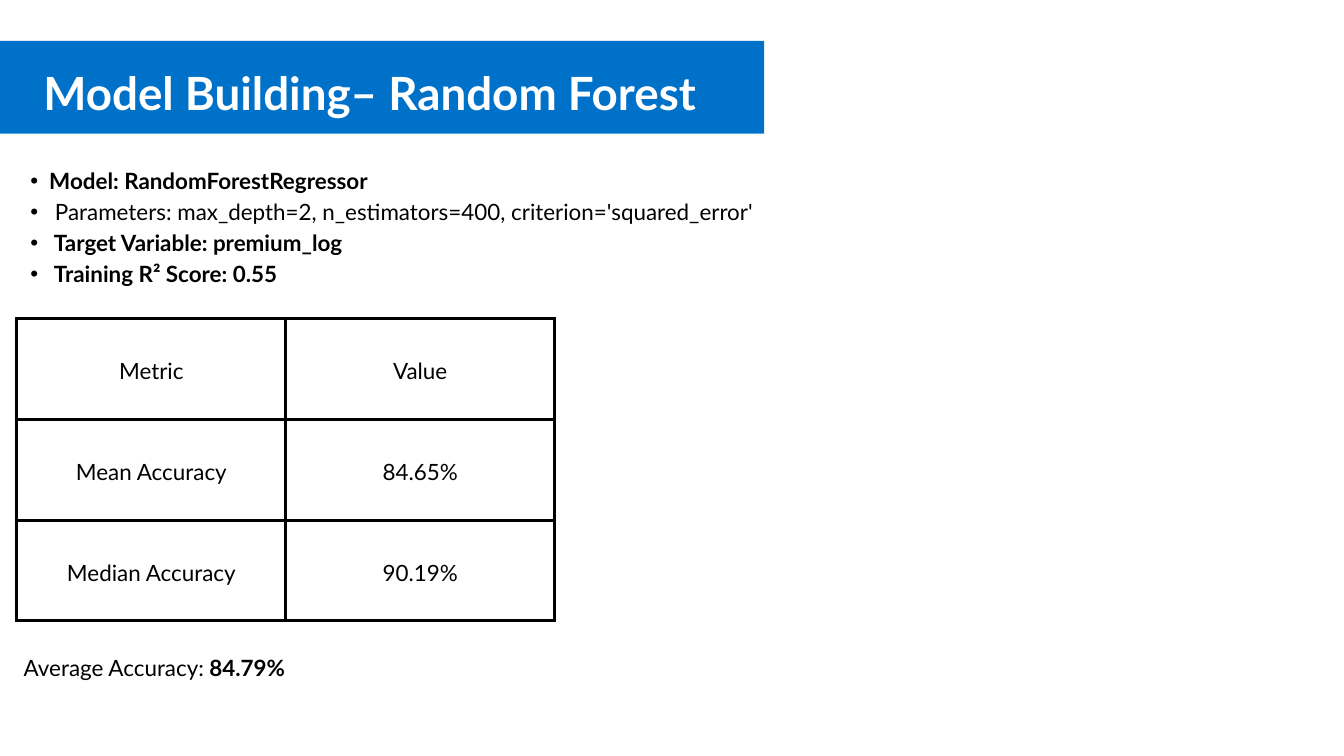
from dataclasses import dataclass

from lxml import etree
from pptx import Presentation
from pptx.dml.color import RGBColor
from pptx.enum import shapes, text
from pptx.oxml import ns
from pptx.util import Cm, Pt


@dataclass(frozen=True)
class Theme:
    font: str = "Lato"
    ink: RGBColor = RGBColor(0, 0, 0)
    paper: RGBColor = RGBColor(255, 255, 255)
    banner: RGBColor = RGBColor(0x00, 0x71, 0xC9)
    title_size: float = 49
    body_size: float = 24
    border: float = 3.75


THEME = Theme()

BULLETS = [
    ("Model: RandomForestRegressor", True),
    (" Parameters: max_depth=2, n_estimators=400, criterion='squared_error'", False),
    (" Target Variable: premium_log", True),
    (" Training R² Score: 0.55", True),
]
METRICS = [
    ("Metric", "Value"),
    ("Mean Accuracy", "84.65%"),
    ("Median Accuracy", "90.19%"),
]


def place(shape, left, top, width, height):
    shape.left, shape.top = Cm(left), Cm(top)
    shape.width, shape.height = Cm(width), Cm(height)


def prepare_frame(frame):
    frame.word_wrap = True
    frame.auto_size = text.MSO_AUTO_SIZE.NONE
    frame.vertical_anchor = text.MSO_ANCHOR.TOP
    frame.margin_left = frame.margin_right = 0
    frame.margin_top = frame.margin_bottom = 0


def add_span(para, words, bold=False, size=THEME.body_size, color=THEME.ink):
    span = para.add_run()
    span.text = words
    span.font.name = THEME.font
    span.font.size = Pt(size)
    span.font.bold = bold
    span.font.color.rgb = color


def format_para(para, spacing, align=text.PP_ALIGN.CENTER):
    para.alignment = align
    para.line_spacing = Pt(spacing)
    para.space_before = para.space_after = Pt(0)


def add_banner(slide):
    banner = slide.shapes.add_shape(
        shapes.MSO_SHAPE.RECTANGLE, 0, Cm(1.55), Cm(28.88), Cm(3.5))
    banner.shadow.inherit = False
    banner.fill.solid()
    banner.fill.fore_color.rgb = THEME.banner
    banner.line.fill.background()
    slide.shapes._spTree.insert(2, banner._element)


def fill_title(title):
    place(title, 0, 2.13, 27.94, 2.29)
    prepare_frame(title.text_frame)
    para = title.text_frame.paragraphs[0]
    format_para(para, 67.6)
    add_span(para, "Model Building– Random Forest", True, THEME.title_size, THEME.paper)


def fill_bullets(body):
    place(body, 0.41, 6.17, 29.64, 4.65)
    frame = body.text_frame
    prepare_frame(frame)
    for index, (words, bold) in enumerate(BULLETS):
        para = frame.add_paragraph() if index else frame.paragraphs[0]
        para.level = 1
        format_para(para, 33.1, text.PP_ALIGN.LEFT)
        props = para._p.get_or_add_pPr()
        props.set("marL", str(Cm(1.45)))
        props.set("indent", str(Cm(-0.71)))
        etree.SubElement(props, ns.qn("a:buFont"), typeface="Arial")
        etree.SubElement(props, ns.qn("a:buChar"), char="•")
        add_span(para, words, bold)


def set_borders(cell):
    props = cell._tc.get_or_add_tcPr()
    for index, side in enumerate(("lnL", "lnR", "lnT", "lnB")):
        line = etree.Element(ns.qn(f"a:{side}"), w=str(Pt(THEME.border)))
        fill = etree.SubElement(line, ns.qn("a:solidFill"))
        etree.SubElement(fill, ns.qn("a:srgbClr"), val=str(THEME.ink))
        props.insert(index, line)


def fill_cell(cell, words):
    cell.fill.solid()
    cell.fill.fore_color.rgb = THEME.paper
    set_borders(cell)
    cell.vertical_anchor = text.MSO_ANCHOR.MIDDLE
    cell.margin_left = cell.margin_right = Cm(0.53)
    cell.margin_top = cell.margin_bottom = Cm(0.53)
    para = cell.text_frame.paragraphs[0]
    format_para(para, 33.6)
    add_span(para, words)


def add_metrics_table(slide):
    frame = slide.shapes.add_table(
        len(METRICS), len(METRICS[0]), Cm(0.64), Cm(12.04), Cm(20.32), Cm(11.43))
    table = frame.table
    table.first_row = table.horz_banding = False
    for row, values in enumerate(METRICS):
        for column, words in enumerate(values):
            fill_cell(table.cell(row, column), words)


def add_average(slide):
    box = slide.shapes.add_textbox(Cm(0.64), Cm(24.56), Cm(10.39), Cm(1.14))
    prepare_frame(box.text_frame)
    para = box.text_frame.paragraphs[0]
    format_para(para, 33.1)
    add_span(para, "Average Accuracy:")
    add_span(para, " 84.79%", True)


def main():
    deck = Presentation()
    deck.slide_width, deck.slide_height = Cm(50.8), Cm(28.58)
    page = deck.slides.add_slide(deck.slide_layouts[1])
    add_banner(page)
    fill_title(page.shapes.title)
    fill_bullets(page.placeholders[1])
    add_metrics_table(page)
    add_average(page)
    deck.save("out.pptx")


if __name__ == "__main__":
    main()
